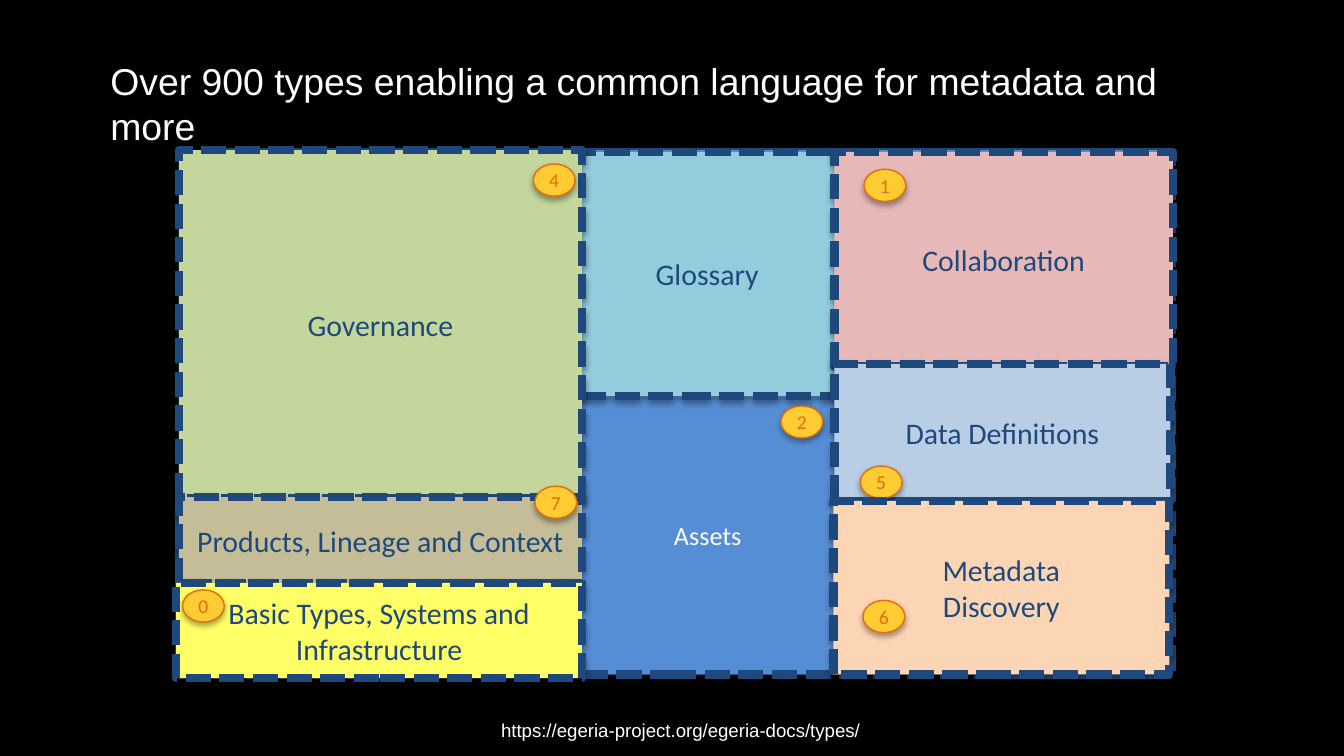
"""Build a slide mapping the metadata type areas as a numbered block diagram."""
from typing import NamedTuple, Optional

from lxml import etree
from pptx import Presentation
from pptx.dml.color import RGBColor
from pptx.enum import dml, shapes, text
from pptx.oxml import ns
from pptx.util import Cm, Pt

NAVY, ORANGE, GOLD, WHITE, BLUE = "1F497D", "E46C0A", "FFCC33", "FFFFFF", "558ED5"
BADGE_WIDTH, BADGE_HEIGHT = 0.79, 0.61


class Badge(NamedTuple):
    number: str
    left: float
    top: float


class Area(NamedTuple):
    label: str
    fill: str
    left: float
    top: float
    width: float
    height: float
    badge: Optional[Badge] = None


class Caption(NamedTuple):
    wording: str
    left: float
    top: float
    width: float
    height: float
    font: str
    size: float
    align: text.PP_ALIGN


AREAS = [
    Area("", BLUE, 3.38, 3.02, 18.77, 9.73, Badge("2", 14.76, 7.67)),
    Area("Glossary", "93CDDD", 10.57, 2.87, 5.59, 4.62),
    Area("Collaboration", "E6B9B8", 15.77, 2.87, 6.4, 4.06, Badge("1", 16.33, 3.2)),
    Area("Governance", "C3D69B", 3.38, 2.84, 7.62, 6.58, Badge("4", 10.08, 3.1)),
    Area("Data Definitions", "B9CDE5", 15.77, 6.88, 6.35, 2.59, Badge("5", 16.26, 8.81)),
    Area("Metadata\nDiscovery", "FCD5B5", 15.75, 9.47, 6.35, 3.28, Badge("6", 16.31, 11.35)),
    Area("Products, Lineage and Context", "C4BD97", 3.38, 9.4, 7.62, 1.63,
         Badge("7", 10.11, 9.19)),
    Area("Basic Types, Systems and\nInfrastructure", "FFFF66", 3.33, 11.02, 7.67, 1.8,
         Badge("0", 3.45, 11.15)),
]

CAPTIONS = [
    Caption("https://egeria-project.org/egeria-docs/types/", 9.22, 13.46, 7.8, 0.69,
            "Arial", 10, text.PP_ALIGN.LEFT),
    Caption("Assets", 11.94, 9.7, 2.87, 0.86, "Calibri", 14, text.PP_ALIGN.CENTER),
]


def colour(value: str) -> RGBColor:
    return RGBColor.from_string(value)


def write(shape, wording: str, font: str, size: float, ink: str,
          align: text.PP_ALIGN) -> None:
    shape.text_frame.text = wording
    for para in shape.text_frame.paragraphs:
        para.alignment = align
        para.font.name = font
        para.font.size = Pt(size)
        para.font.color.rgb = colour(ink)


def add_shadow(shape) -> None:
    shape.shadow.inherit = False
    effects = shape._element.spPr.find(ns.qn("a:effectLst"))
    shadow = etree.SubElement(effects, ns.qn("a:outerShdw"), blurRad=str(Pt(3.1)),
                              dist=str(Pt(1.8)), dir="5400000", rotWithShape="0")
    black = etree.SubElement(shadow, ns.qn("a:srgbClr"), val="000000")
    etree.SubElement(black, ns.qn("a:alpha"), val="35000")


def add_block(page, kind: shapes.MSO_SHAPE, left: float, top: float, width: float,
              height: float, fill: str, line: str, weight: float):
    block = page.shapes.add_shape(kind, Cm(left), Cm(top), Cm(width), Cm(height))
    block.fill.solid()
    block.fill.fore_color.rgb = colour(fill)
    block.line.color.rgb = colour(line)
    block.line.width = Pt(weight)
    add_shadow(block)
    block.text_frame.vertical_anchor = text.MSO_ANCHOR.MIDDLE
    return block


def add_badge(page, badge: Badge) -> None:
    oval = add_block(page, shapes.MSO_SHAPE.OVAL, badge.left, badge.top,
                     BADGE_WIDTH, BADGE_HEIGHT, GOLD, ORANGE, 0.75)
    oval.text_frame.word_wrap = False
    write(oval, badge.number, "Calibri", 10.5, ORANGE, text.PP_ALIGN.CENTER)


def add_area(page, area: Area) -> None:
    block = add_block(page, shapes.MSO_SHAPE.RECTANGLE, area.left, area.top,
                      area.width, area.height, area.fill, NAVY, 4.5)
    block.line.dash_style = dml.MSO_LINE.SQUARE_DOT
    if area.label:
        write(block, area.label, "Calibri", 16, NAVY, text.PP_ALIGN.CENTER)
    if area.badge:
        add_badge(page, area.badge)


def add_caption(page, caption: Caption) -> None:
    box = page.shapes.add_textbox(Cm(caption.left), Cm(caption.top),
                                  Cm(caption.width), Cm(caption.height))
    box.text_frame.word_wrap = True
    write(box, caption.wording, caption.font, caption.size, WHITE, caption.align)


def set_title(page, wording: str) -> None:
    title = page.shapes.title
    title.left, title.top, title.width, title.height = Cm(1.83), Cm(0.97), Cm(22.05), Cm(1.12)
    title.text_frame.vertical_anchor = text.MSO_ANCHOR.TOP
    title.text_frame.auto_size = text.MSO_AUTO_SIZE.NONE
    write(title, wording, "Arial", 20, WHITE, text.PP_ALIGN.LEFT)


def main() -> None:
    deck = Presentation()
    deck.slide_width, deck.slide_height = Cm(25.4), Cm(14.29)
    page = deck.slides.add_slide(deck.slide_layouts[5])
    page.background.fill.solid()
    page.background.fill.fore_color.rgb = colour("000000")
    set_title(page, "Over 900 types enabling a common language for metadata and more")
    add_block(page, shapes.MSO_SHAPE.RECTANGLE, 3.89, 2.82, 18.16, 9.93, BLUE, NAVY, 0.75)
    for area in AREAS:
        add_area(page, area)
    for caption in CAPTIONS:
        add_caption(page, caption)
    deck.save("out.pptx")


if __name__ == "__main__":
    main()
